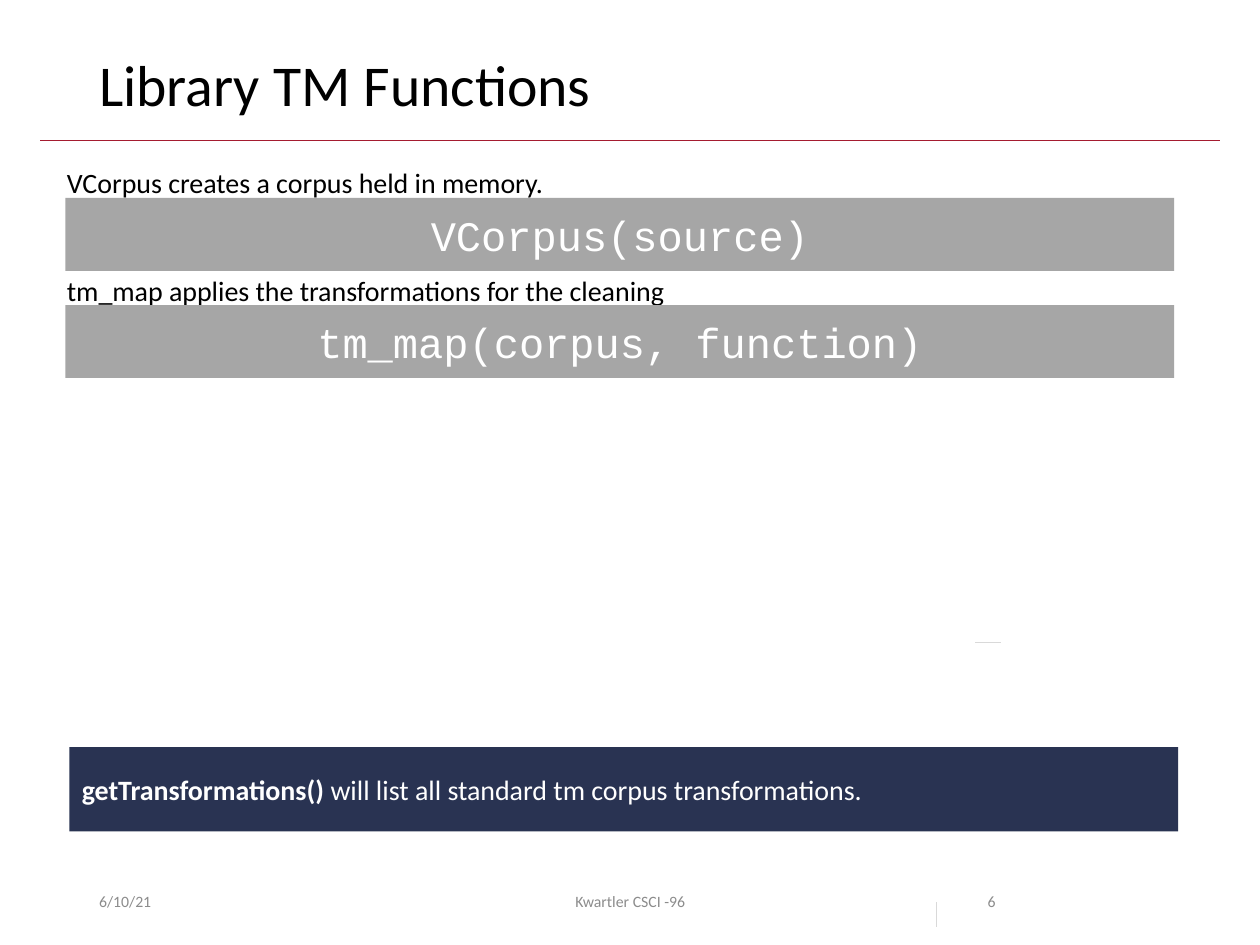
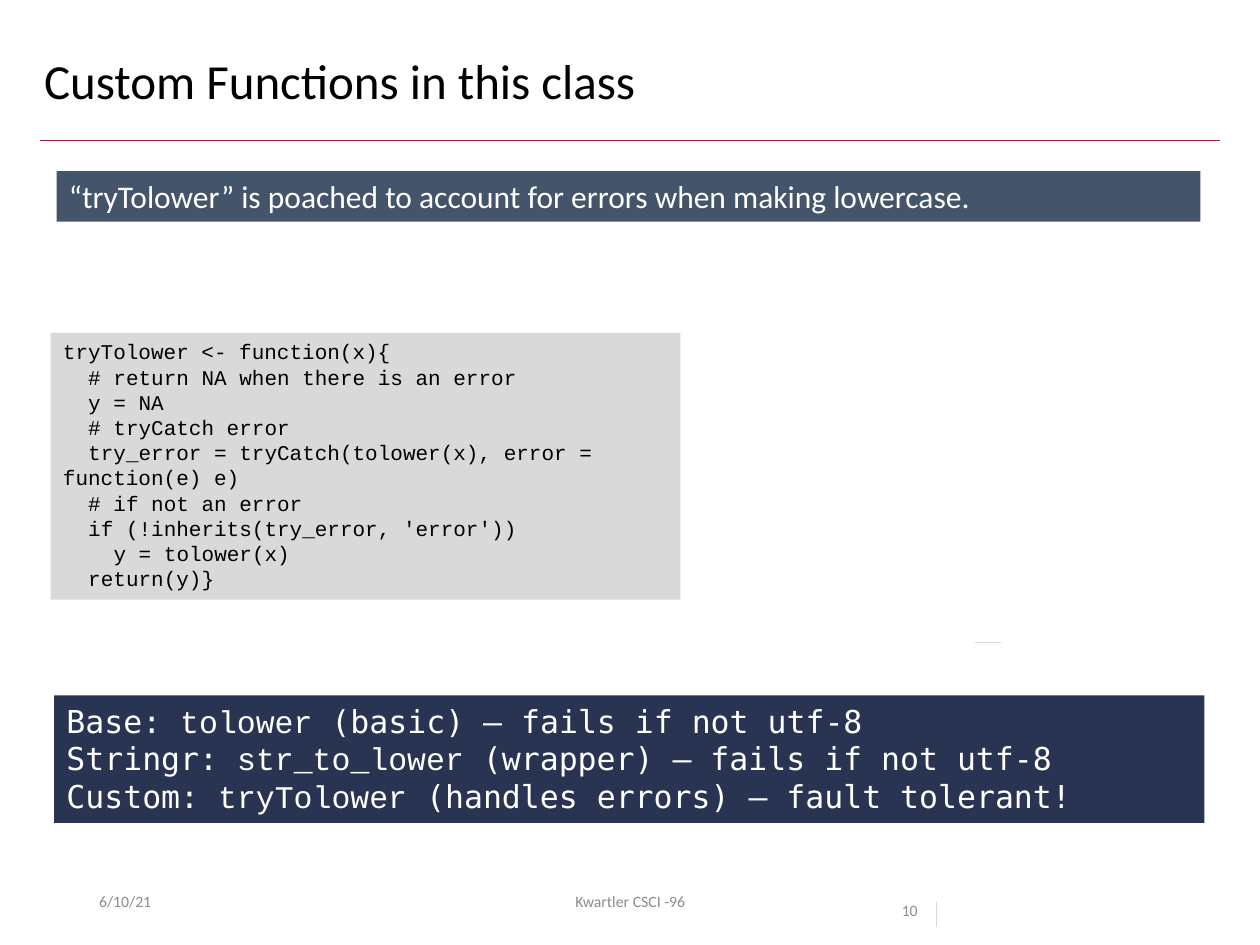
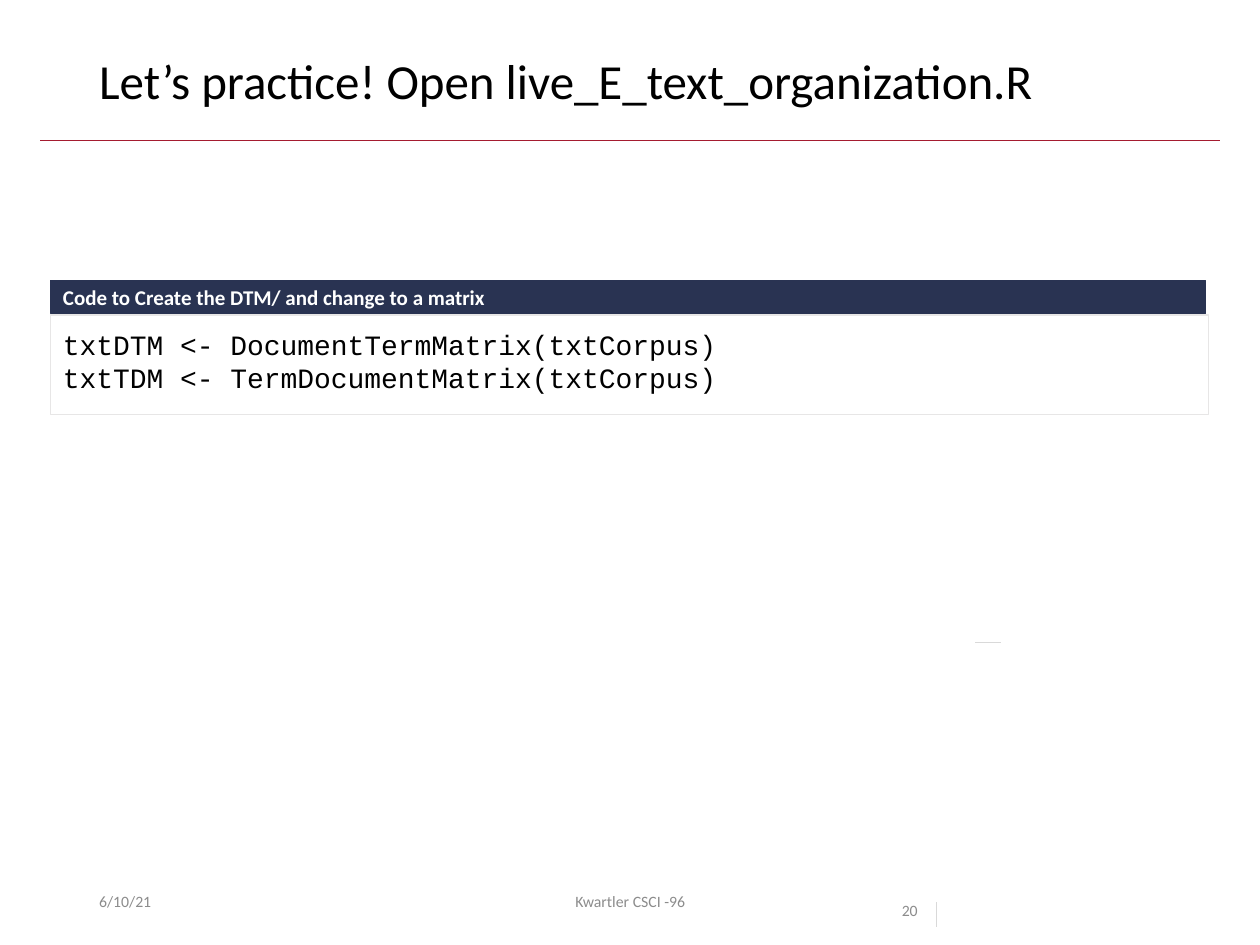
"""Build three slides on text cleaning functions."""
from dataclasses import dataclass

from lxml import etree
from pptx import Presentation
from pptx import util as u
from pptx.dml.color import RGBColor
from pptx.enum import shapes, text
from pptx.oxml.ns import qn


@dataclass(frozen=True)
class Theme:
    """Colours, fonts and type sizes of the deck."""
    black: str = "000000"
    white: str = "FFFFFF"
    navy: str = "293352"
    slate: str = "44546A"
    grey: str = "A6A6A6"
    pale: str = "D9D9D9"
    edge: str = "E7E6E6"
    crimson: str = "A51C30"
    muted: str = "8C8C8C"
    sans: str = "Calibri"
    code: str = "Courier New"
    mono: str = "DejaVu Sans Mono"
    headline: float = 33
    title: float = 28
    formula: float = 24
    lead: float = 18
    body: float = 16
    small: float = 12
    footer: float = 9


THEME = Theme()
ALIGN = text.PP_ALIGN
MIDDLE = text.MSO_ANCHOR.MIDDLE
TITLE_AREA = (1.75, 1.02, 21.89, 1.65)
WIDE_TITLE_AREA = (0.64, 1.02, 24.05, 1.65)
FOOTER_TOP, FOOTER_HEIGHT = 17.65, 1.02
RULES = [
    ((0.81, 2.84), (24.59, 2.84), THEME.crimson),
    ((18.87, 18.19), (18.87, 18.69), THEME.pale),
    ((19.66, 12.95), (20.17, 12.95), THEME.pale),
]

FUNCTIONS = [
    ("VCorpus creates a corpus held in memory.", 17.55, "VCorpus(source)"),
    ("tm_map applies the transformations for the cleaning", 12.7,
     "tm_map(corpus, function)"),
]
CALLOUT = [("getTransformations() ", {"bold": True}),
           ("will list all standard tm corpus transformations.", {})]
LOWER_BANNER = "“tryTolower” is poached to account for errors when making lowercase."
LOWER_CODE = [
    (0, "tryTolower <- function(x){"),
    (1, "# return NA when there is an error"),
    (1, "y = NA"),
    (1, "# tryCatch error"),
    (1, "try_error = tryCatch(tolower(x), error = function(e) e)"),
    (1, "# if not an error"),
    (1, "if (!inherits(try_error, 'error'))"),
    (2, "y = tolower(x)"),
    (1, "return(y)}"),
]
LOWER_CHOICES = [
    ("Base", "tolower", "(basic) – fails if not utf-8"),
    ("Stringr", "str_to_lower", "(wrapper) – fails if not utf-8"),
    ("Custom", "tryTolower", "(handles errors) – fault tolerant!"),
]
MATRIX_HEADING = "Code to Create the DTM/ and change to a matrix"
MATRIX_CODE = ["txtDTM <- DocumentTermMatrix(txtCorpus)",
               "txtTDM <- TermDocumentMatrix(txtCorpus)"]


def rgb(colour):
    """Turn a hex string into a colour."""
    return RGBColor.from_string(colour)


def write(page, area, paras, *, size, font=THEME.sans, colour=THEME.black,
          bold=False, align=ALIGN.LEFT, anchor=text.MSO_ANCHOR.TOP, spacing=None,
          indents=None, inset=None, fill=None, line=None):
    """Place paragraphs of text in a text box, or in a rectangle if filled."""
    place = [u.Cm(length) for length in area]
    if fill:
        box = page.shapes.add_shape(shapes.MSO_SHAPE.RECTANGLE, *place)
        box.shadow.inherit = False
        box.fill.solid()
        box.fill.fore_color.rgb = rgb(fill)
        if line:
            box.line.color.rgb = rgb(line)
            box.line.width = u.Pt(0.75)
        else:
            box.line.fill.background()
    else:
        box = page.shapes.add_textbox(*place)
    frame = box.text_frame
    frame.word_wrap = True
    frame.vertical_anchor = anchor
    if inset:
        frame.margin_left = frame.margin_right = u.Cm(inset)
        frame.margin_top = frame.margin_bottom = u.Cm(inset)
    paras = [paras] if isinstance(paras, str) else paras
    for index, spans in enumerate(paras):
        para = frame.paragraphs[0] if index == 0 else frame.add_paragraph()
        para.alignment = align
        if spacing:
            para.line_spacing = spacing
        if indents:
            properties = para._p.get_or_add_pPr()
            properties.set("marL", "0")
            properties.set("indent", str(u.Cm(indents[index])))
        for words, changes in [(spans, {})] if isinstance(spans, str) else spans:
            span = para.add_run()
            span.text = words
            span.font.size = u.Pt(size)
            span.font.name = changes.get("font", font)
            span.font.bold = changes.get("bold", bold)
            span.font.color.rgb = rgb(colour)
    return box


def draw_rule(page, start, end, colour):
    """Draw a thin straight line."""
    ends = [u.Cm(length) for length in (*start, *end)]
    rule = page.shapes.add_connector(shapes.MSO_CONNECTOR.STRAIGHT, *ends)
    rule.line.color.rgb = rgb(colour)
    rule.line.width = u.Pt(0.5)
    etree.SubElement(rule._element.spPr, qn("a:effectLst"))


def add_page(deck, title, number, *, area=TITLE_AREA, size=THEME.title,
             **number_format):
    """Add a page with its title, rules and footer."""
    page = deck.slides.add_slide(deck.slide_layouts[6])
    for rule in RULES:
        draw_rule(page, *rule)
    write(page, area, title, size=size, spacing=0.9)
    footers = [
        ("6/10/21", 1.75, 5.72, {"anchor": MIDDLE}),
        ("Kwartler CSCI -96", 8.41, 8.59, {"anchor": MIDDLE, "align": ALIGN.CENTER}),
        (number, 17.93, 2.39, number_format or {"spacing": 2.0}),
    ]
    for words, left, width, layout in footers:
        write(page, (left, FOOTER_TOP, width, FOOTER_HEIGHT), words,
              size=THEME.footer, colour=THEME.muted, **layout)
    return page


def build_functions(deck):
    """Build the page on library functions."""
    page = add_page(deck, "Library TM Functions", "6", size=THEME.headline,
                    anchor=MIDDLE, align=ALIGN.RIGHT)
    first_bar, pitch, label_rise = 3.99, 2.16, 0.77
    for index, (label, width, formula) in enumerate(FUNCTIONS):
        top = first_bar + index * pitch
        write(page, (1.1, top - label_rise, width, 0.94), label, size=THEME.body)
        write(page, (1.32, top, 22.35, 1.47), formula, size=THEME.formula,
              font=THEME.code, colour=THEME.white, fill=THEME.grey,
              align=ALIGN.CENTER, anchor=MIDDLE)
    write(page, (1.4, 15.06, 22.35, 1.7), [CALLOUT], size=THEME.body,
          colour=THEME.white, fill=THEME.navy, anchor=MIDDLE)


def build_lowercase(deck):
    """Build the page on the custom lowercase function."""
    page = add_page(deck, "Custom Functions in this class", "10",
                    area=WIDE_TITLE_AREA)
    step = 0.51
    write(page, (1.02, 6.71, 12.7, 5.38), [words for _, words in LOWER_CODE],
          size=THEME.small, font=THEME.code, fill=THEME.pale,
          indents=[level * step for level, _ in LOWER_CODE])
    write(page, (1.14, 3.45, 23.06, 1.02), LOWER_BANNER, size=THEME.lead,
          colour=THEME.white, fill=THEME.slate)
    choices = [[(f"{origin}: ", {}), (name, {"font": THEME.code}), (f" {remark}", {})]
               for origin, name, remark in LOWER_CHOICES]
    write(page, (1.09, 14.02, 23.19, 2.57), choices, size=THEME.lead,
          font=THEME.mono, colour=THEME.white, fill=THEME.navy)


def build_practice(deck):
    """Build the practice page."""
    page = add_page(deck, "Let’s practice! Open live_E_text_organization.R", "20")
    write(page, (1.02, 6.35, 23.34, 2.01), MATRIX_CODE, size=THEME.body,
          font=THEME.code, fill=THEME.white, line=THEME.edge, inset=0.25)
    write(page, (1.02, 5.66, 23.29, 0.66), MATRIX_HEADING, size=THEME.small,
          bold=True, colour=THEME.white, fill=THEME.navy, line=THEME.navy,
          inset=0.25, anchor=MIDDLE)


def main():
    """Build and save the deck."""
    deck = Presentation()
    deck.slide_width, deck.slide_height = u.Cm(25.4), u.Cm(19.05)
    for build in (build_functions, build_lowercase, build_practice):
        build(deck)
    deck.save("out.pptx")


main()
